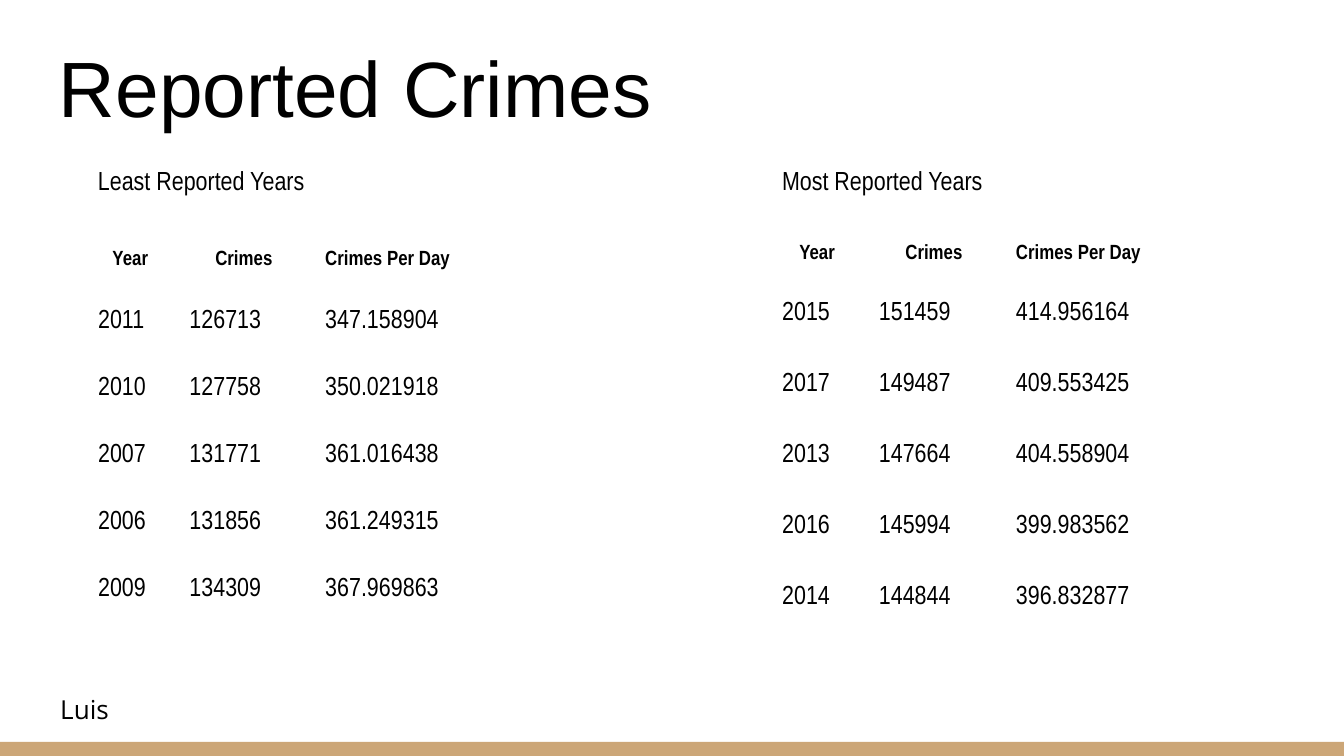
from pptx import Presentation
from pptx.dml.color import RGBColor
from pptx.enum.shapes import MSO_SHAPE
from pptx.enum.text import MSO_ANCHOR, PP_ALIGN
from pptx.util import Emu, Pt

PX = 4572  # 200 px to the inch
WIDTH, HEIGHT = 2000, 1125
MARGIN = 20
BLACK = RGBColor(0, 0, 0)
TAN = RGBColor(0xCC, 0xA6, 0x77)

HEADERS = ["Year", "Crimes", "Crimes Per Day"]
# heading, heading box, table left and top, column widths, header and body row heights, rows
PANELS = [
    ("Least Reported Years", (126, 224, 770, 88), (28, 348), (98, 136, 202, 426), (92, 100), [
        ("2011", "126713", "347.158904"),
        ("2010", "127758", "350.021918"),
        ("2007", "131771", "361.016438"),
        ("2006", "131856", "361.249315"),
        ("2009", "134309", "367.969863"),
    ]),
    ("Most Reported Years", (1144, 224, 836, 88), (1000, 340), (144, 144, 204, 432), (88, 106), [
        ("2015", "151459", "414.956164"),
        ("2017", "149487", "409.553425"),
        ("2013", "147664", "404.558904"),
        ("2016", "145994", "399.983562"),
        ("2014", "144844", "396.832877"),
    ]),
]


def set_text(holder, text, size, font, bold=False):
    """Fill a text box or table cell with one formatted paragraph."""
    tf = holder.text_frame
    tf.text = text
    p = tf.paragraphs[0]
    f = p.runs[0].font
    f.size, f.name, f.bold = Pt(size), font, bold
    f.color.rgb = BLACK
    # Text boxes keep their margins on the frame, cells on the cell itself
    area = tf if hasattr(tf, "margin_left") and hasattr(holder, "shape_id") else holder
    area.margin_left = area.margin_right = Emu(MARGIN * PX)
    area.margin_top = area.margin_bottom = Emu(MARGIN * PX)
    return p


def add_text(s, box, text, size, font):
    tb = s.shapes.add_textbox(*(Emu(v * PX) for v in box))
    set_text(tb, text, size, font)
    tb.text_frame.word_wrap = True
    return tb


prs = Presentation()
prs.slide_width, prs.slide_height = Emu(WIDTH * PX), Emu(HEIGHT * PX)
s = prs.slides.add_slide(prs.slide_layouts[6])

bar = s.shapes.add_shape(
    MSO_SHAPE.RECTANGLE, 0, Emu(1104 * PX), Emu(WIDTH * PX), Emu(21 * PX))
bar.shadow.inherit = False
bar.fill.solid()
bar.fill.fore_color.rgb = TAN
bar.line.fill.background()

title = add_text(s, (68, 36, 1864, 182), "Reported Crimes", 42, "Arial")
title.text_frame.vertical_anchor = MSO_ANCHOR.BOTTOM
add_text(s, (70, 1012, 160, 88), "Luis", 14, "Open Sans")

for heading, box, (left, top), widths, (head_h, body_h), rows in PANELS:
    add_text(s, box, heading, 14, "Arial Narrow")

    heights = [head_h] + [body_h] * len(rows)
    table = s.shapes.add_table(
        len(heights), len(widths), Emu(left * PX), Emu(top * PX),
        Emu(sum(widths) * PX), Emu(sum(heights) * PX)).table
    table.first_row = table.horz_banding = False
    for column, width in zip(table.columns, widths):
        column.width = Emu(width * PX)
    for row, height in zip(table.rows, heights):
        row.height = Emu(height * PX)
    for cell in table.iter_cells():
        cell.fill.background()

    # The first column stays empty
    for c, text in enumerate(HEADERS, start=1):
        p = set_text(table.cell(0, c), text, 11, "Arial Narrow", bold=True)
        p.line_spacing = 1.15
        if c < len(HEADERS):
            p.alignment = PP_ALIGN.CENTER
    for r, values in enumerate(rows, start=1):
        for c, text in enumerate(values, start=1):
            set_text(table.cell(r, c), text, 14, "Arial Narrow")

prs.save("out.pptx")
